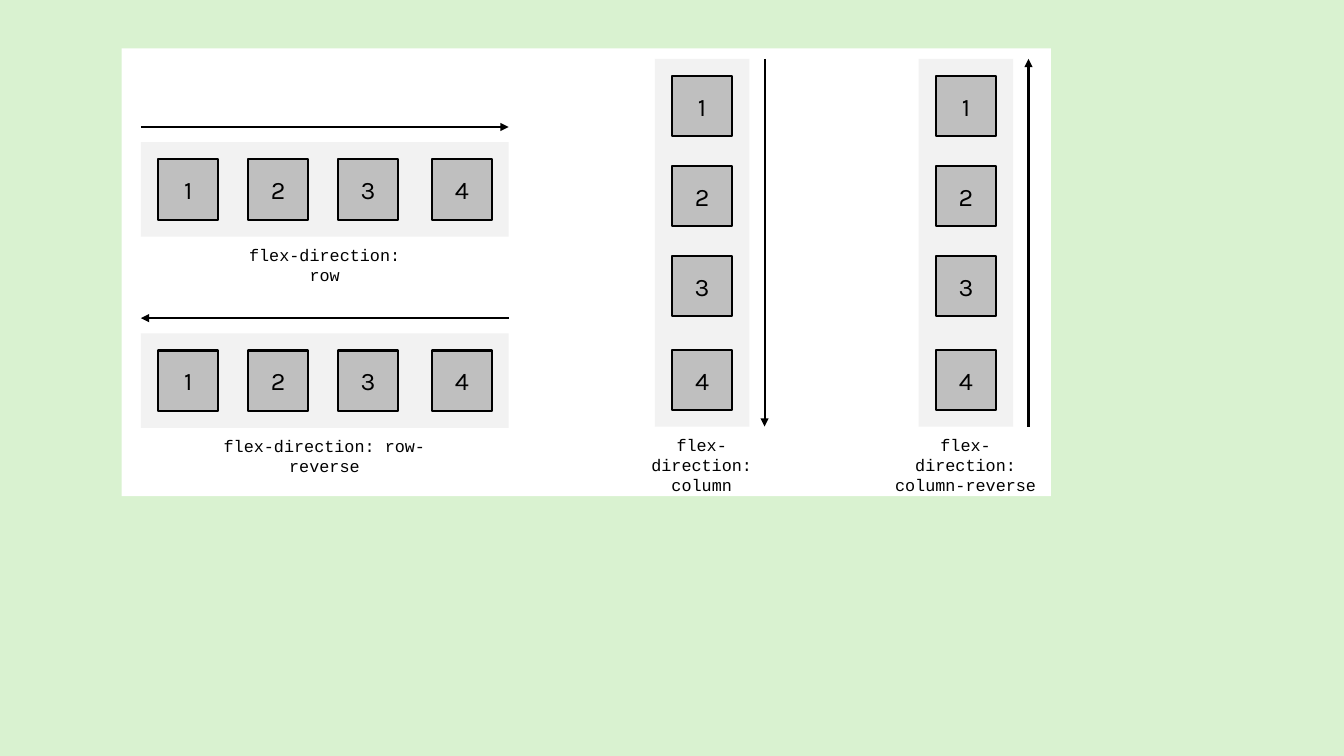
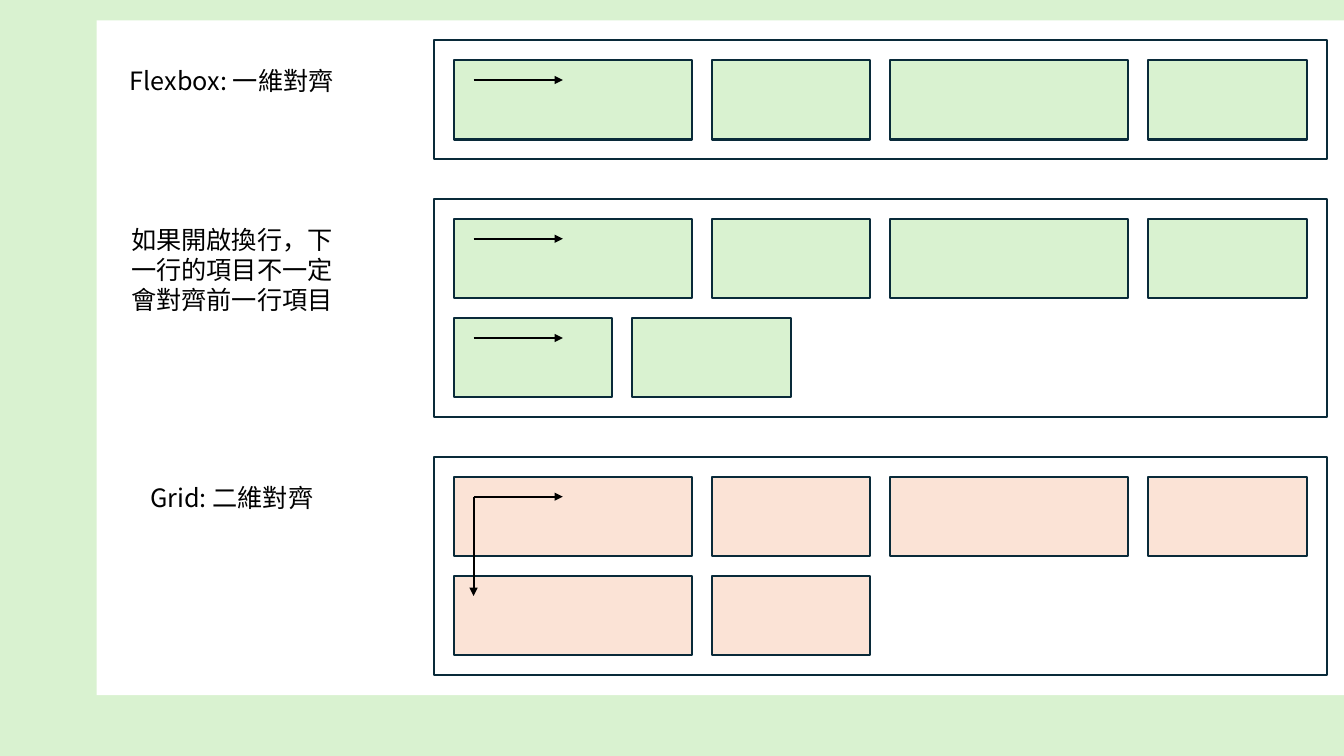
from dataclasses import dataclass

from lxml.etree import SubElement
from pptx import Presentation
from pptx.dml.color import RGBColor
from pptx.enum.shapes import MSO_CONNECTOR, MSO_SHAPE
from pptx.enum.text import MSO_ANCHOR, PP_ALIGN
from pptx.oxml.ns import qn
from pptx.util import Pt

PX = 6000  # EMU in one px; the slide is 2032 by 1143 px


@dataclass(frozen=True)
class Theme:
    background: str = "D9F2D0"
    paper: str = "FFFFFF"
    ink: str = "000000"
    outline: str = "092A39"
    track: str = "F2F2F2"
    square: str = "BFBFBF"
    flex_item: str = "D9F2D0"
    grid_item: str = "FBE3D6"
    line_width: float = 1.5
    number: tuple = ("Karla", 18)
    code: tuple = ("Courier New", 12)
    caption: tuple = ("Noto Sans CJK TC", 18)


THEME = Theme()


def rgb(value):
    return RGBColor.from_string(value)


def px(*lengths):
    return [length * PX for length in lengths]


# Shared parts
def write_text(shape, lines, style, anchor=MSO_ANCHOR.TOP):
    name, size = style
    frame = shape.text_frame
    for key, value in {"word_wrap": True, "vertical_anchor": anchor}.items():
        setattr(frame, key, value)
    for index, line in enumerate(lines):
        paragraph = frame.add_paragraph() if index else frame.paragraphs[0]
        paragraph.alignment = PP_ALIGN.CENTER
        run = paragraph.add_run()
        run.text = line
        for key, value in {"name": name, "size": Pt(size)}.items():
            setattr(run.font, key, value)
        run.font.color.rgb = rgb(THEME.ink)
        # East Asian glyphs take the same font
        SubElement(run.font._element, qn("a:ea"), typeface=name)


def add_label(slide, box, lines, style):
    write_text(slide.shapes.add_textbox(*px(*box)), lines, style)


def add_box(slide, box, fill, line=None):
    shape = slide.shapes.add_shape(MSO_SHAPE.RECTANGLE, *px(*box))
    shape.shadow.inherit = False
    shape.fill.solid()
    shape.fill.fore_color.rgb = rgb(fill)
    if line:
        shape.line.color.rgb = rgb(line)
        shape.line.width = Pt(THEME.line_width)
    else:
        shape.line.fill.background()
    return shape


def add_arrow(slide, start, end):
    arrow = slide.shapes.add_connector(MSO_CONNECTOR.STRAIGHT, *px(*start, *end))
    arrow.line.color.rgb = rgb(THEME.ink)
    arrow.line.width = Pt(THEME.line_width)
    SubElement(arrow.line._get_or_add_ln(), qn("a:tailEnd"), type="triangle")
    SubElement(arrow._element.spPr, qn("a:effectLst"))


def add_slide(presentation, paper):
    slide = presentation.slides.add_slide(presentation.slide_layouts[6])
    add_box(slide, paper, THEME.paper)
    return slide


# Slide 1: the four flex directions
TRACK_LENGTH, TRACK_DEPTH, SQUARE = 556, 143, 91
SQUARE_OFFSETS = (26, 162, 298, 440)
ARROW_GAP, LABEL_GAP = 23, 4


def add_direction(slide, left, top, lines, label_width, vertical=False, reverse=False):
    """Track with numbered squares, main-axis arrow and label below."""
    width, height = TRACK_LENGTH, TRACK_DEPTH
    if vertical:
        width, height = height, width
    add_box(slide, (left, top, width, height), THEME.track)

    inset = (TRACK_DEPTH - SQUARE) // 2
    for number, offset in enumerate(SQUARE_OFFSETS, 1):
        across, down = (inset, offset) if vertical else (offset, inset)
        square = add_box(slide, (left + across, top + down, SQUARE, SQUARE),
                         THEME.square, THEME.ink)
        write_text(square, [str(number)], THEME.number, MSO_ANCHOR.MIDDLE)

    if vertical:
        axis = left + width + ARROW_GAP
        ends = [(axis, top), (axis, top + height)]
    else:
        axis = top - ARROW_GAP
        ends = [(left, axis), (left + width, axis)]
    add_arrow(slide, *(reversed(ends) if reverse else ends))

    label_left = left + (width - label_width) // 2
    add_label(slide, (label_left, top + height + LABEL_GAP, label_width, 46 if len(lines) == 1 else 76),
              lines, THEME.code)


def build_directions(presentation):
    slide = add_slide(presentation, (184, 73, 1405, 677))
    add_direction(slide, 213, 215, ["flex-direction: row"], 300)
    add_direction(slide, 213, 504, ["flex-direction: row-reverse"], 413, reverse=True)
    add_direction(slide, 1389, 89, ["flex-direction:", "column-reverse"], 258,
                  vertical=True, reverse=True)
    add_direction(slide, 990, 89, ["flex-direction:", "column"], 258, vertical=True)


# Slide 2: flexbox and grid compared
GAP, ITEM_HEIGHT, WIDE, NARROW = 30, 120, 360, 240
ROW_PITCH = ITEM_HEIGHT + GAP
FULL_ROW = (WIDE, NARROW, WIDE, NARROW)
PANEL_LEFT, PANEL_WIDTH = 656, sum(FULL_ROW) + GAP * (len(FULL_ROW) + 1)
CAPTION_LEFT, CAPTION_WIDTH = 180, 341


def add_panel(slide, top, caption, caption_height, rows, fill, two_way=False):
    """Caption beside a framed set of item rows; returns the panel's bottom."""
    height = GAP + ROW_PITCH * len(rows)
    add_box(slide, (PANEL_LEFT, top, PANEL_WIDTH, height), THEME.paper, THEME.outline)

    arrow_left, arrow_top = PANEL_LEFT + 2 * GAP, top + 2 * GAP
    for index, widths in enumerate(rows):
        left = PANEL_LEFT + GAP
        for width in widths:
            add_box(slide, (left, top + GAP + index * ROW_PITCH, width, ITEM_HEIGHT),
                    fill, THEME.outline)
            left += width + GAP
        if index == 0 or not two_way:
            y = arrow_top + index * ROW_PITCH
            add_arrow(slide, (arrow_left, y), (arrow_left + 135, y))
    if two_way:
        add_arrow(slide, (arrow_left, arrow_top), (arrow_left, arrow_top + ROW_PITCH))

    add_label(slide, (CAPTION_LEFT, top + GAP, CAPTION_WIDTH, caption_height),
              [caption], THEME.caption)
    return top + height


def build_comparison(presentation):
    slide = add_slide(presentation, (146, 31, 1886, 1020))
    panels = (
        ("Flexbox: 一維對齊", 61, [FULL_ROW], THEME.flex_item, False),
        ("如果開啟換行，下一行的項目不一定會對齊前一行項目", 154,
         [FULL_ROW, (NARROW, NARROW)], THEME.flex_item, False),
        ("Grid: 二維對齊", 61, [FULL_ROW, FULL_ROW[:2]], THEME.grid_item, True),
    )
    top = 61
    for panel in panels:
        top = add_panel(slide, top, *panel) + 2 * GAP


def main():
    presentation = Presentation()
    presentation.slide_width, presentation.slide_height = px(2032, 1143)
    background = presentation.slide_master.background.fill
    background.solid()
    background.fore_color.rgb = rgb(THEME.background)
    build_directions(presentation)
    build_comparison(presentation)
    presentation.save("out.pptx")


if __name__ == "__main__":
    main()
